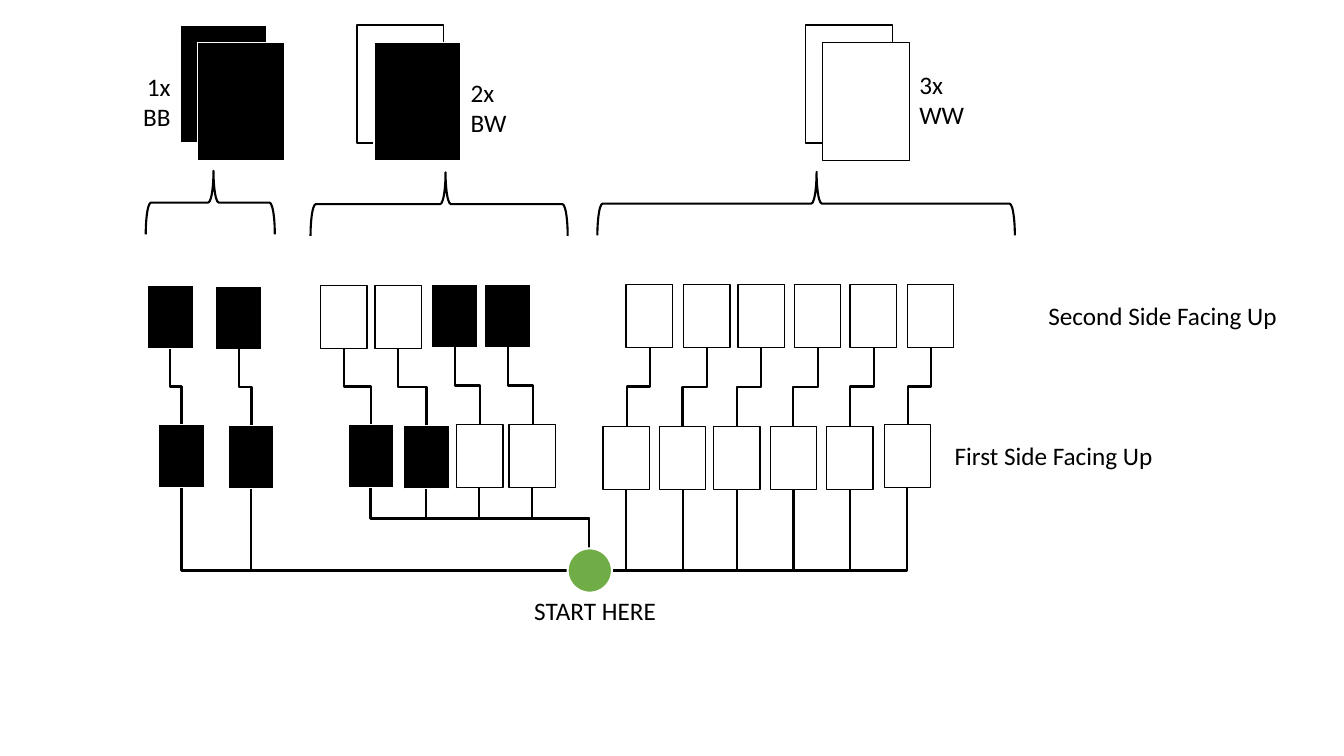
from pptx import Presentation
from pptx.dml.color import RGBColor
from pptx.enum.shapes import MSO_CONNECTOR, MSO_SHAPE
from pptx.enum.text import MSO_AUTO_SIZE, PP_ALIGN
from pptx.oxml.ns import qn
from pptx.util import Emu, Pt
from lxml.etree import SubElement

PX = 9144
BLACK, WHITE, GREEN = "000000", "FFFFFF", "70AD47"
CARD_WIDTH, CARD_HEIGHT, CARD_MIDDLE = 46, 63, 23
START_X, START_Y, START_RADIUS = 585, 566, 22

PAIRS = [
    (179, BLACK, BLACK, ["1xBB"], (125, 66, 54), PP_ALIGN.RIGHT),
    (354, None, BLACK, ["2x", "BW"], (457, 72, 75), PP_ALIGN.LEFT),
    (799, None, WHITE, ["3x", "WW"], (902, 64, 86), PP_ALIGN.LEFT),
]
BRACES = [(177, 137, 128), (404, 75, 255), (768, -5, 414)]
BB_BRANCHES = [(157, 421, 146, 283), (226, 422, 214, 284)]
BW_BRANCHES = [
    (345, 421, 318, 283, BLACK, WHITE),
    (400, 422, 372, 283, BLACK, WHITE),
    (453, 421, 428, 282, WHITE, BLACK),
    (505, 421, 480, 282, WHITE, BLACK),
]
WW_BRANCHES = [
    (598, 423, 621, 282),
    (654, 423, 678, 282),
    (708, 423, 732, 282),
    (764, 423, 788, 282),
    (820, 423, 843, 282),
    (877, 421, 900, 282),
]


def px(*lengths):
    return [Emu(length * PX) for length in lengths]


def color(value):
    return RGBColor.from_string(value)


def add_box(shapes, kind, frame, fill, line, weight=1):
    box = shapes.add_shape(kind, *px(*frame))
    box.shadow.inherit = False
    if fill:
        box.fill.solid()
        box.fill.fore_color.rgb = color(fill)
    else:
        box.fill.background()
    box.line.color.rgb = color(line)
    box.line.width = Pt(weight)
    return box


def add_card(shapes, left, top, fill, width=CARD_WIDTH, height=CARD_HEIGHT):
    line = WHITE if fill == BLACK else BLACK
    add_box(shapes, MSO_SHAPE.RECTANGLE, (left, top, width, height), fill, line)


def add_label(shapes, lines, left, top, width, height=40, align=PP_ALIGN.LEFT):
    box = shapes.add_textbox(*px(left, top, width, height))
    frame = box.text_frame
    frame.word_wrap = True
    frame.auto_size = MSO_AUTO_SIZE.SHAPE_TO_FIT_TEXT
    for index, line in enumerate(lines):
        para = frame.add_paragraph() if index else frame.paragraphs[0]
        para.alignment = align
        span = para.add_run()
        span.text = line
        span.font.size = Pt(18)
        span.font.name = "Calibri"
        span.font.color.rgb = color(BLACK)


def add_pair(page, left, back, front, lines, place, align):
    group = page.shapes.add_group_shape()
    add_card(group.shapes, left, 25, back, 86, 117)
    add_card(group.shapes, left + 17, 42, front, 86, 117)
    add_label(group.shapes, lines, *place, 71, align)


def add_brace(page, left, top, length):
    brace = add_box(page.shapes, MSO_SHAPE.LEFT_BRACE, (left, top, 63, length), None, BLACK, 1.5)
    brace.rotation = 90
    brace.adjustments[0] = 0.083
    brace.adjustments[1] = 0.475


def add_bend(page, left, top, width, height, preset, **turn):
    line = page.shapes.add_connector(
        MSO_CONNECTOR.ELBOW, *px(left, top, left + width, top + height))
    line.line.color.rgb = color(BLACK)
    line.line.width = Pt(1.5)
    properties = line._element.spPr
    properties.find(qn("a:prstGeom")).set("prst", preset)
    SubElement(properties, qn("a:effectLst"))
    for name, value in turn.items():
        properties.find(qn("a:xfrm")).set(name, str(value))


def add_step(page, x, y, end_x, end_y):
    rise, run = y - end_y, abs(end_x - x)
    left = (x + end_x - rise) / 2
    top = (y + end_y - run) / 2
    if end_x < x:
        turn = {"rot": 270 * 60000, "flipV": 1}
    else:
        turn = {"rot": 90 * 60000, "flipH": 1, "flipV": 1}
    add_bend(page, round(left), round(top), rise, run, "bentConnector3", **turn)


def add_corner(page, end_x, end_y):
    rise = START_Y - end_y
    if end_x < START_X:
        run = START_X - START_RADIUS - end_x
        add_bend(page, end_x, end_y, run, rise, "bentConnector2", rot=180 * 60000)
    else:
        left = START_X + START_RADIUS
        add_bend(page, left, end_y, end_x - left, rise, "bentConnector2", flipV=1)


def add_branch(page, first_x, first_y, second_x, second_y, first, second):
    add_card(page.shapes, first_x, first_y, first)
    add_card(page.shapes, second_x, second_y, second)
    add_step(page, first_x + CARD_MIDDLE, first_y,
             second_x + CARD_MIDDLE, second_y + CARD_HEIGHT)


def main():
    deck = Presentation()
    deck.slide_width, deck.slide_height = px(1333, 750)
    page = deck.slides.add_slide(deck.slide_layouts[6])

    for pair in PAIRS:
        add_pair(page, *pair)
    for brace in BRACES:
        add_brace(page, *brace)

    for fill, branches in ((BLACK, BB_BRANCHES), (WHITE, WW_BRANCHES)):
        for branch in branches:
            add_branch(page, *branch, fill, fill)
            add_corner(page, branch[0] + CARD_MIDDLE, branch[1] + CARD_HEIGHT)
    for branch in BW_BRANCHES:
        add_branch(page, *branch)
        add_step(page, START_X, START_Y - START_RADIUS,
                 branch[0] + CARD_MIDDLE, branch[1] + CARD_HEIGHT)

    diameter = 2 * START_RADIUS
    add_box(page.shapes, MSO_SHAPE.OVAL,
            (START_X - START_RADIUS, START_Y - START_RADIUS, diameter, diameter),
            GREEN, WHITE, 1.5)
    add_label(page.shapes, ["START HERE"], 520, 586, 144)
    add_label(page.shapes, ["First Side Facing Up"], 937, 432, 283)
    add_label(page.shapes, ["Second Side Facing Up"], 1030, 293, 283)
    deck.save("out.pptx")


if __name__ == "__main__":
    main()
